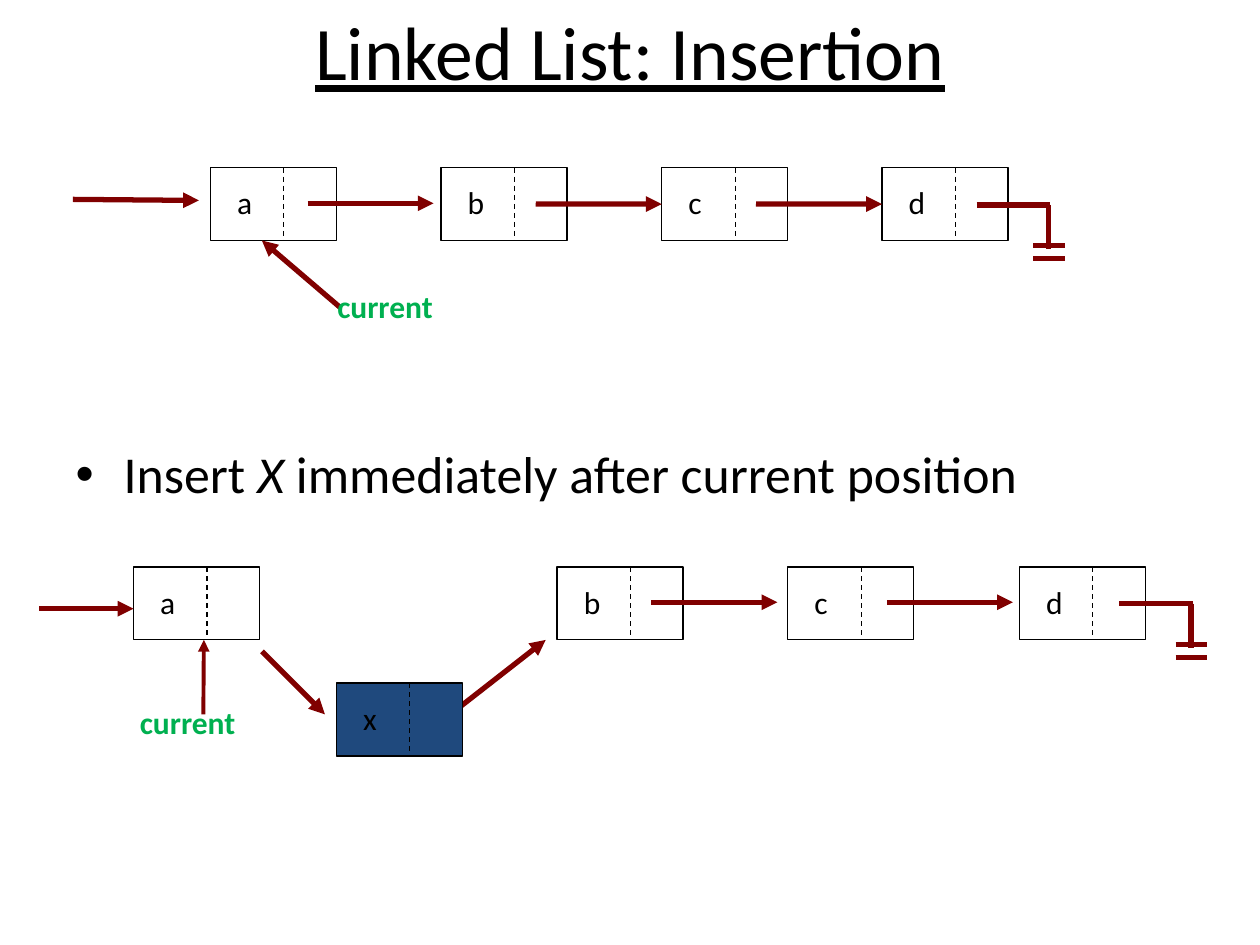
from dataclasses import dataclass

from lxml import etree
from pptx import Presentation
from pptx import util as u
from pptx.dml.color import RGBColor
from pptx.enum import dml, shapes, text
from pptx.oxml import ns


@dataclass(frozen=True)
class Theme:
    font: str = "Calibri"
    ink: str = "000000"
    paper: str = "FFFFFF"
    arrow: str = "800000"
    label: str = "00B050"
    new_node: str = "1F497D"
    title_size: float = 43.2
    body_size: float = 29.6
    small_size: float = 18


theme = Theme()


def add_text(p, words, size=theme.small_size, color=theme.ink, **style):
    """Append a run; style holds bold, italic or underline."""
    r = p.add_run()
    r.text = words
    r.font.name, r.font.size = theme.font, u.Pt(size)
    r.font.color.rgb = RGBColor.from_string(color)
    for name, value in style.items():
        setattr(r.font, name, value)


def add_line(start, end, color=theme.arrow, width=3, dash=False, head=False):
    """Draw a straight connector between two points given in cm."""
    points = [u.Cm(v) for v in (*start, *end)]
    cx = s.shapes.add_connector(shapes.MSO_CONNECTOR.STRAIGHT, *points)
    cx.line.color.rgb = RGBColor.from_string(color)
    cx.line.width = u.Pt(width)
    if dash:
        cx.line.dash_style = dml.MSO_LINE.DASH
    spPr = cx._element.spPr
    if head:
        ln = spPr.find(ns.qn("a:ln"))
        etree.SubElement(ln, ns.qn("a:tailEnd"), type="triangle")
    etree.SubElement(spPr, ns.qn("a:effectLst"))
    return cx


prs = Presentation()
prs.slide_width, prs.slide_height = u.Cm(25.4), u.Cm(19.05)
s = prs.slides.add_slide(prs.slide_layouts[1])

# Title and bullet
title, body = s.placeholders
for sp, box in ((title, (0, 0.13, 25.4, 1.78)), (body, (1.27, 8.89, 23.16, 1.68))):
    sp.left, sp.top, sp.width, sp.height = (u.Cm(v) for v in box)
    sp.text_frame.auto_size = text.MSO_AUTO_SIZE.NONE

add_text(title.text_frame.paragraphs[0], "Linked List: Insertion",
         size=theme.title_size, underline=True)

p = body.text_frame.paragraphs[0]
pPr = p._p.get_or_add_pPr()
pPr.set("marL", str(u.Cm(0.97)))
pPr.set("indent", str(-u.Cm(0.97)))
etree.SubElement(pPr, ns.qn("a:buChar"), char="•")
p.line_spacing, p.space_before = 0.93, u.Pt(0)
add_text(p, "Insert ", size=theme.body_size)
add_text(p, "X", size=theme.body_size, italic=True)
add_text(p, " immediately after current position", size=theme.body_size)

# Link out of the new node, which covers its start
add_line((8.81, 14.61), (11, 12.9), head=True)

# List nodes: row, letter, left, top, fill
NODE_W, NODE_H, SPLIT = 2.54, 1.47, 1.48
TOP_ROW, BOTTOM_ROW = 3.38, 11.43
nodes = {}
for row, letter, x, y, fill in (
    ("before", "a", 4.24, TOP_ROW, theme.paper),
    ("before", "b", 8.89, TOP_ROW, None),
    ("before", "c", 13.34, TOP_ROW, None),
    ("before", "d", 17.78, TOP_ROW, None),
    ("after", "a", 2.69, BOTTOM_ROW, None),
    ("after", "b", 11.23, BOTTOM_ROW, None),
    ("after", "c", 15.88, BOTTOM_ROW, None),
    ("after", "d", 20.55, BOTTOM_ROW, None),
    ("after", "x", 6.78, 13.77, theme.new_node),
):
    sp = s.shapes.add_shape(shapes.MSO_SHAPE.RECTANGLE,
                            u.Cm(x), u.Cm(y), u.Cm(NODE_W), u.Cm(NODE_H))
    sp.shadow.inherit = False
    if fill:
        sp.fill.solid()
        sp.fill.fore_color.rgb = RGBColor.from_string(fill)
    else:
        sp.fill.background()
    sp.line.color.rgb = RGBColor.from_string(theme.ink)
    sp.line.width = u.Pt(0.75)
    tf = sp.text_frame
    tf.margin_left = u.Cm(0.54)
    tf.vertical_anchor = text.MSO_ANCHOR.MIDDLE
    p = tf.paragraphs[0]
    p.alignment, p.line_spacing = text.PP_ALIGN.LEFT, 0.95
    add_text(p, letter)
    add_line((x + SPLIT, y), (x + SPLIT, y + NODE_H), theme.ink, 0.75, dash=True)
    nodes[row, letter] = sp

# Links of the list before insertion
add_line((1.47, 4.02), (4.01, 4.04), head=True)
add_line((6.2, 4.1), (8.74, 4.1), head=True)
for x, letter in ((10.8, "c"), (15.24, "d")):
    link = add_line((x, 4.11), (x + NODE_W, 4.11), head=True)
    link.end_connect(nodes["before", letter], 1)

# Links of the list after insertion
add_line((0.79, 12.27), (2.69, 12.27), head=True)
add_line((5.28, 13.13), (6.55, 14.4), head=True)
for x in (13.13, 17.88):
    add_line((x, 12.14), (x + NODE_W, 12.14), head=True)

# Null terminators
for x, y in ((19.69, 4.13), (22.56, 12.17)):
    add_line((x, y), (x + 1.48, y))
    add_line((x + 1.45, y), (x + 1.45, y + 0.89))
    for drop in (0.82, 1.08):
        add_line((x + 1.14, y + drop), (x + 1.78, y + drop))

# Current-position markers
add_line((6.86, 6.2), (5.28, 4.85), head=True)
add_line((4.1, 14.4), (4.11, 12.9), width=2.25, head=True)
for x, y, w in ((6.55, 5.72, 6.99), (2.57, 14.1, 2.72)):
    sp = s.shapes.add_textbox(u.Cm(x), u.Cm(y), u.Cm(w), u.Cm(0.99))
    tf = sp.text_frame
    tf.word_wrap = True
    p = tf.paragraphs[0]
    p.line_spacing = 0.95
    add_text(p, "current", color=theme.label, bold=True)

prs.save("out.pptx")
